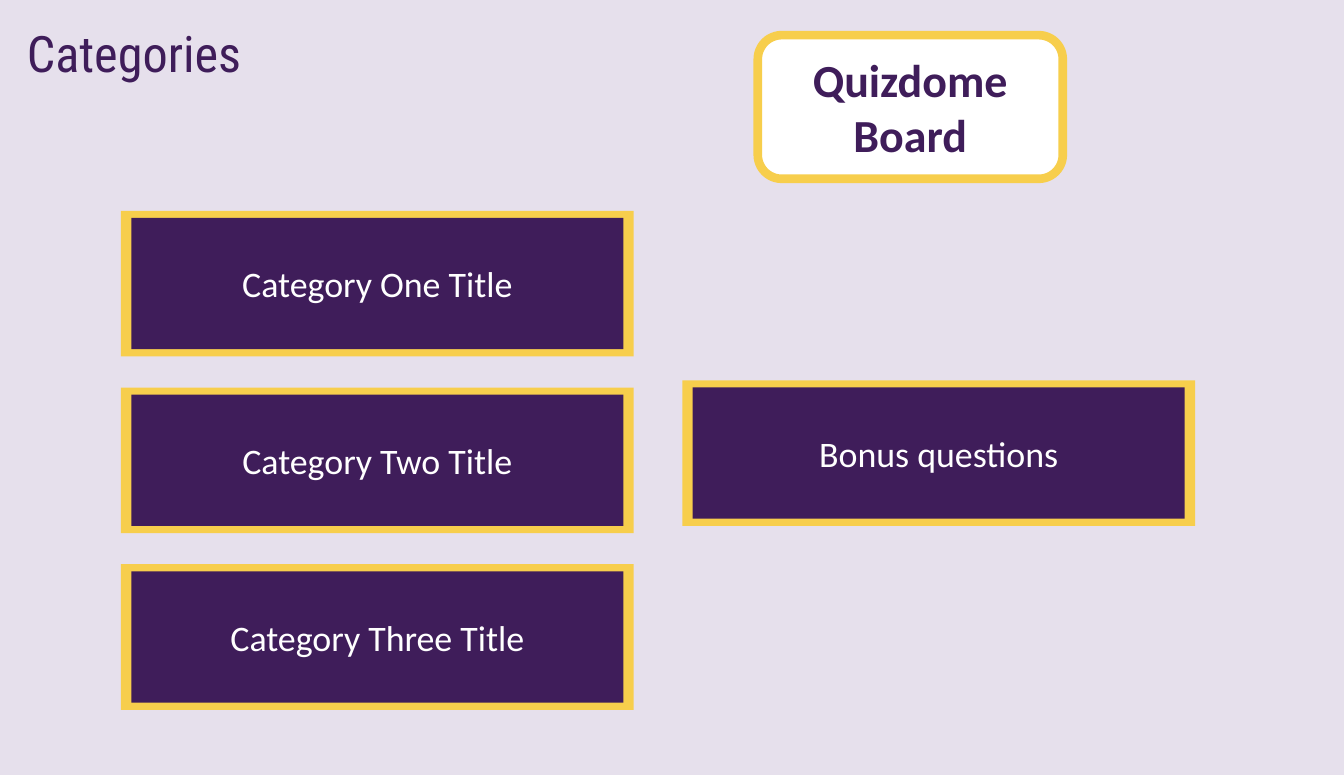
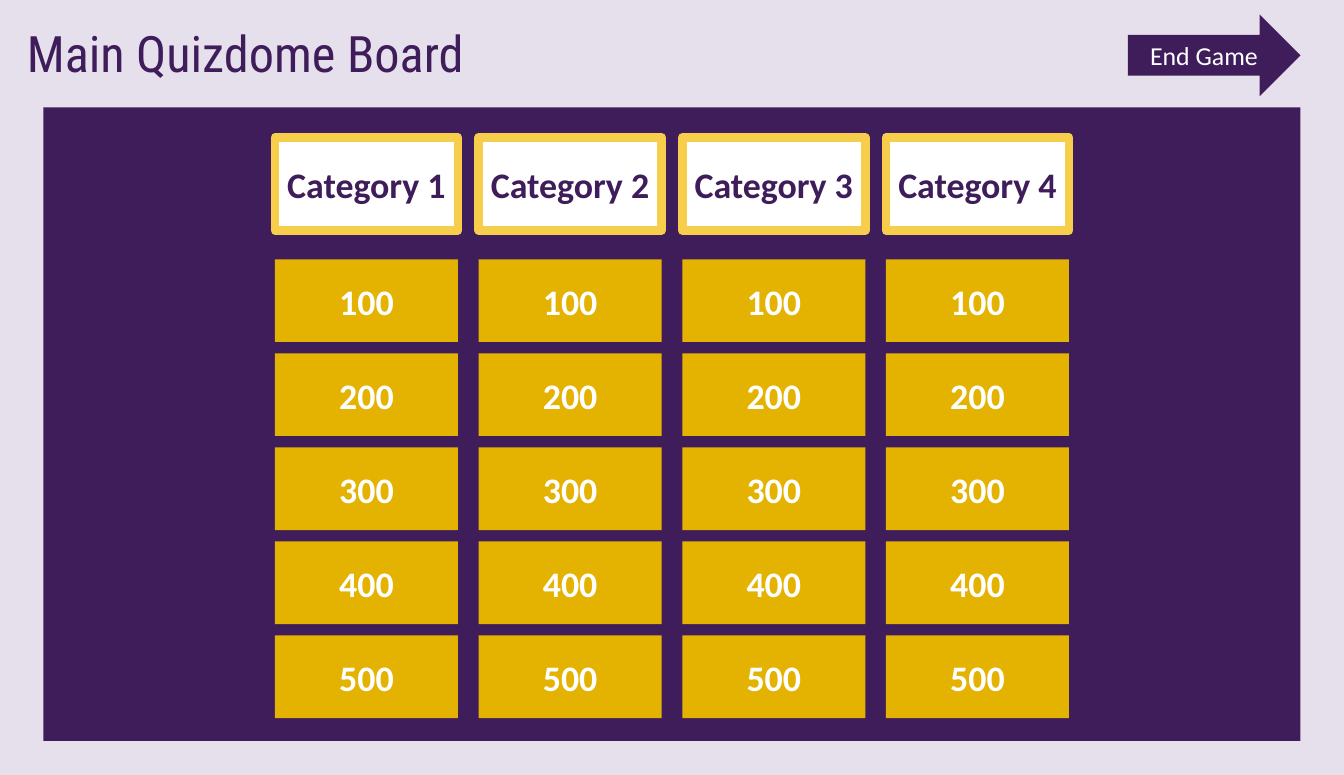
"""Build the category overview and the main board of a quiz game."""
from pptx import Presentation
from pptx.dml.color import RGBColor
from pptx.enum.shapes import MSO_SHAPE
from pptx.enum.text import MSO_ANCHOR, MSO_AUTO_SIZE, PP_ALIGN
from pptx.util import Inches, Pt

COLORS = {
    "lavender": "E6E0EC",
    "purple": "3F1D5A",
    "yellow": "F7CE4C",
    "gold": "E4B200",
    "white": "FFFFFF",
}


def add_titled_page(deck, title):
    page = deck.slides.add_slide(deck.slide_layouts[5])
    page.background.fill.solid()
    page.background.fill.fore_color.rgb = RGBColor.from_string(COLORS["lavender"])
    box = page.shapes.title
    box.left, box.top = Inches(0.16), Inches(0.17)
    box.width, box.height = Inches(4.8), Inches(0.69)
    frame = box.text_frame
    frame.auto_size = MSO_AUTO_SIZE.NONE
    frame.vertical_anchor = MSO_ANCHOR.TOP
    para = frame.paragraphs[0]
    para.alignment = PP_ALIGN.LEFT
    span = para.add_run()
    span.text = title
    span.font.name = "Roboto Condensed"
    span.font.size = Pt(35)
    span.font.color.rgb = RGBColor.from_string(COLORS["purple"])
    return page


def add_box(page, place, fill, text="", size=25, color="white", bold=False,
            border=None, preset=MSO_SHAPE.RECTANGLE):
    box = page.shapes.add_shape(preset, *[Inches(length) for length in place])
    box.shadow.inherit = False
    box.fill.solid()
    box.fill.fore_color.rgb = RGBColor.from_string(COLORS[fill])
    if border:
        box.line.color.rgb = RGBColor.from_string(COLORS[border])
        box.line.width = Pt(6)
    else:
        box.line.fill.background()
    if text:
        frame = box.text_frame
        frame.word_wrap = True
        frame.vertical_anchor = MSO_ANCHOR.MIDDLE
        para = frame.paragraphs[0]
        para.alignment = PP_ALIGN.CENTER
        span = para.add_run()
        span.text = text
        span.font.name = "Calibri"
        span.font.size = Pt(size)
        span.font.bold = bold
        span.font.color.rgb = RGBColor.from_string(COLORS[color])


deck = Presentation()
deck.slide_width, deck.slide_height = Inches(13), Inches(7.5)

page = add_titled_page(deck, "Categories")
cards = [(1.17, 2.04 + 1.71 * row, f"Category {number} Title")
         for row, number in enumerate(["One", "Two", "Three"])]
cards.append((6.6, 3.68, "Bonus questions"))
for left, top, label in cards:
    add_box(page, (left, top, 4.96, 1.41), "yellow")
    add_box(page, (left + 0.1, top + 0.07, 4.76, 1.27), "purple", label)
add_box(page, (7.33, 0.34, 2.95, 1.39), "white", "Quizdome Board", size=32,
        color="purple", bold=True, border="yellow",
        preset=MSO_SHAPE.ROUNDED_RECTANGLE)

page = add_titled_page(deck, "Main Quizdome Board")
add_box(page, (0.42, 1.04, 12.16, 6.13), "purple")
add_box(page, (10.91, 0.14, 1.67, 0.79), "purple", "End Game", size=18,
        preset=MSO_SHAPE.RIGHT_ARROW)
for column in range(4):
    left = 2.66 + 1.97 * column
    add_box(page, (left, 1.33, 1.77, 0.9), "white", f"Category {column + 1}",
            color="purple", bold=True, border="yellow")
    for row in range(5):
        add_box(page, (left, 2.51 + 0.91 * row, 1.77, 0.8), "gold",
                str(100 * (row + 1)), bold=True)

deck.save("out.pptx")
